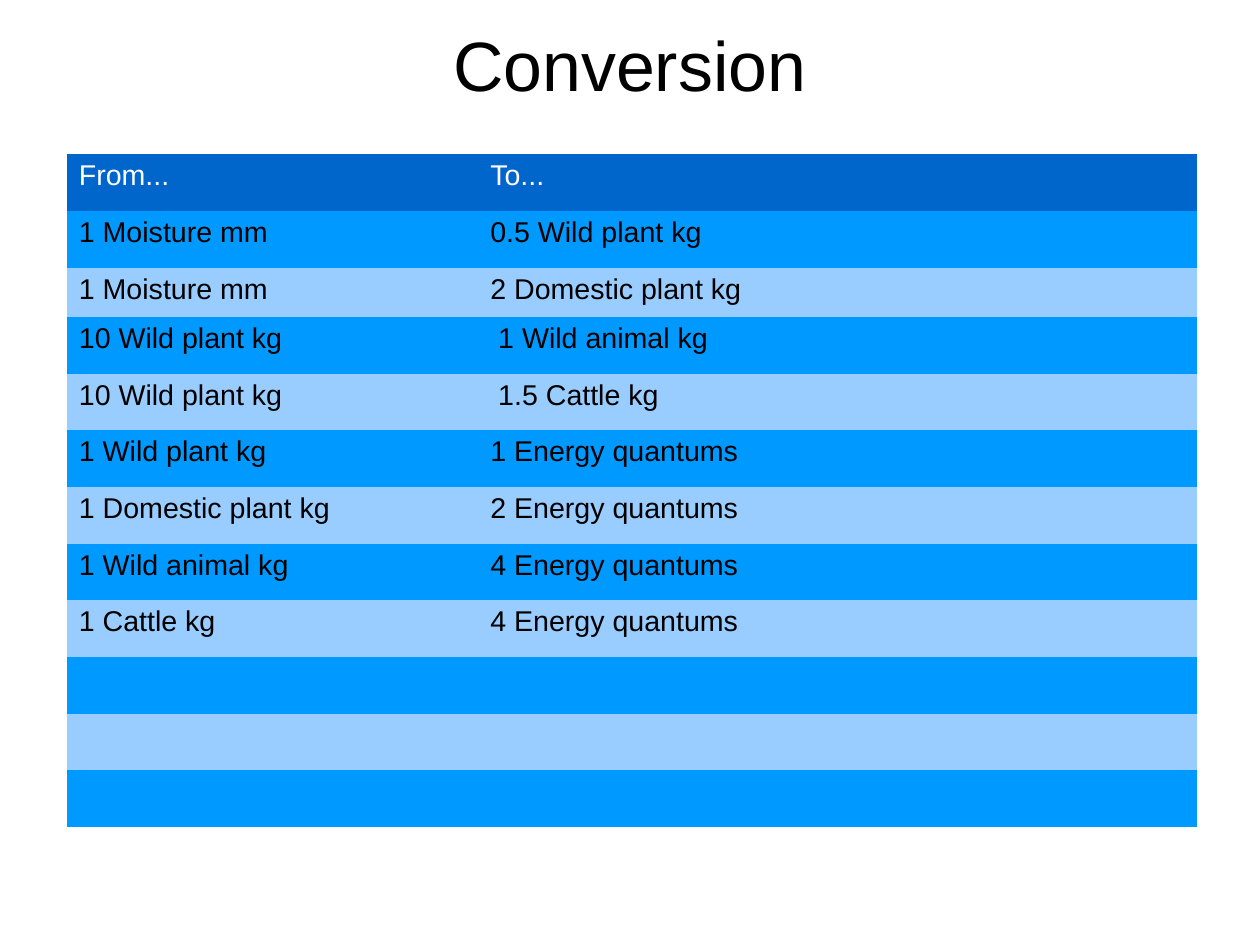
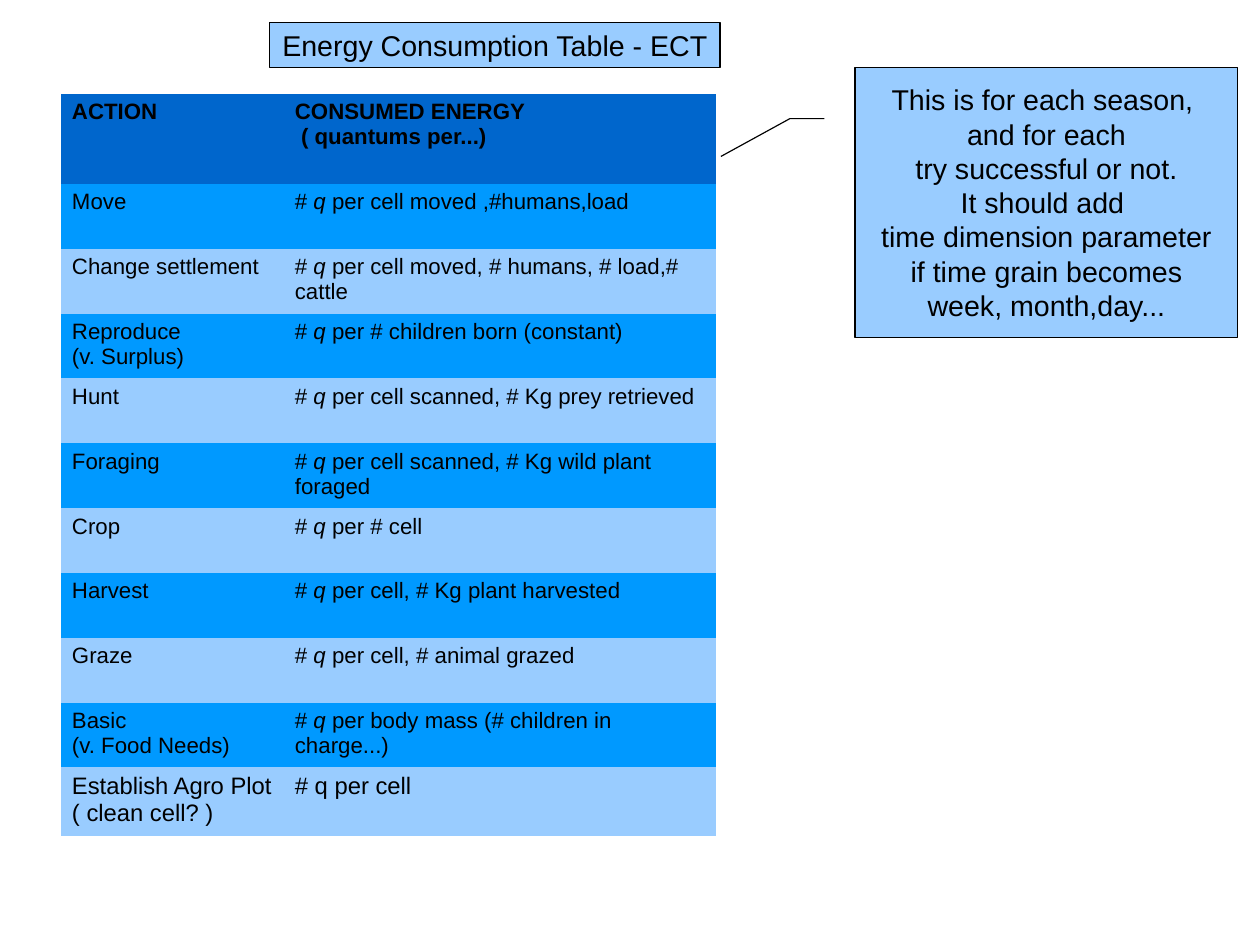
"""Build two slides on energy conversion and consumption tables."""
from dataclasses import dataclass, replace

from pptx import Presentation
from pptx import util as u
from pptx.dml.color import RGBColor
from pptx.enum import shapes, text
from pptx.oxml.ns import qn

CM_PER_INCH = 2.54
SLIDE_WIDTH = u.Inches(28 / CM_PER_INCH)
SLIDE_HEIGHT = u.Inches(21 / CM_PER_INCH)
BLACK = RGBColor(0x00, 0x00, 0x00)
WHITE = RGBColor(0xFF, 0xFF, 0xFF)
HEADER_BLUE = RGBColor(0x00, 0x66, 0xCC)
STRONG_BLUE = RGBColor(0x00, 0x99, 0xFF)
PALE_BLUE = RGBColor(0x99, 0xCC, 0xFF)
FONT = "Arial"
PLAIN_TABLE_STYLE = "{2D5ABB26-0587-4C30-8999-92F81FD0307C}"


@dataclass(frozen=True)
class Style:
    size: int
    color: RGBColor = BLACK
    bold: bool = False
    italic: bool = False


@dataclass(frozen=True)
class Span:
    text: str
    style: Style


@dataclass(frozen=True)
class Area:
    left: float
    top: float
    width: float
    height: float

    def lengths(self) -> tuple:
        return tuple(u.Inches(v) for v in (self.left, self.top, self.width, self.height))


@dataclass(frozen=True)
class Grid:
    left: float
    top: float
    height: float
    columns: list[float]
    row_count: int
    special_row: int
    special_height: float

    def row_heights(self) -> list[float]:
        equal = (self.height - self.special_height) / (self.row_count - 1)
        return [self.special_height if row == self.special_row else equal
                for row in range(self.row_count)]


Lines = list[list[Span]]

TITLE = Style(44)
BODY = Style(18)
HEADING = Style(18, WHITE)
ACTION = Style(14)
ACTION_HEADING = replace(ACTION, bold=True)
QUANTUM = replace(ACTION, italic=True)
PLOT = Style(15)

CONVERSION_GRID = Grid(0.59, 1.35, 5.89, [2.62, 0.98, 3.17, 1.1, 2.01], 12, 2, 0.43)
CONVERSIONS = [
    ("1 Moisture mm", "0.5 Wild plant kg"),
    ("1 Moisture mm", "2 Domestic plant kg"),
    ("10 Wild plant kg", " 1 Wild animal kg"),
    ("10 Wild plant kg", " 1.5 Cattle kg"),
    ("1 Wild plant kg", "1 Energy quantums"),
    ("1 Domestic plant kg", "2 Energy quantums"),
    ("1 Wild animal kg", "4 Energy quantums"),
    ("1 Cattle kg", "4 Energy quantums"),
]

ENERGY_GRID = Grid(0.53, 0.82, 6.46, [1.95, 3.78], 11, 0, 0.79)
ACTIONS = [
    (["Move"], " per cell moved ,#humans,load"),
    (["Change settlement"], " per cell moved, # humans, # load,# cattle"),
    (["Reproduce", "(v. Surplus)"], " per # children born (constant)"),
    (["Hunt"], " per cell scanned, # Kg prey retrieved"),
    (["Foraging"], " per cell scanned, # Kg wild plant foraged"),
    (["Crop"], " per # cell"),
    (["Harvest"], " per cell, # Kg plant harvested"),
    (["Graze"], " per cell, # animal grazed"),
    (["Basic", "(v. Food Needs)"], " per body mass (# children in charge...)"),
]
SEASON_NOTE = [
    "This is for each season, ",
    "and for each",
    "try successful or not.",
    "It should add ",
    "time dimension parameter",
    " if time grain becomes ",
    "week, month,day...",
]


def plain(style: Style, *lines: str) -> Lines:
    """Give each line one span of the same style."""
    return [[Span(line, style)] for line in lines]


def write(frame, lines: Lines, align=text.PP_ALIGN.LEFT) -> None:
    """Write the lines into a text frame, run by run."""
    for index, spans in enumerate(lines):
        para = frame.add_paragraph() if index else frame.paragraphs[0]
        para.alignment = align
        for span in spans:
            run = para.add_run()
            run.text = span.text
            font = run.font
            font.name = FONT
            font.size = u.Pt(span.style.size)
            font.bold = span.style.bold
            font.italic = span.style.italic
            font.color.rgb = span.style.color


def add_title(page, area: Area, title: str) -> None:
    """Add a centred slide title."""
    frame = page.shapes.add_textbox(*area.lengths()).text_frame
    frame.word_wrap = True
    frame.vertical_anchor = text.MSO_ANCHOR.MIDDLE
    frame.margin_left = frame.margin_right = u.Inches(0)
    frame.margin_top = frame.margin_bottom = u.Inches(0)
    write(frame, plain(TITLE, title), text.PP_ALIGN.CENTER)


def add_panel(page, kind, area: Area, lines: Lines, wrap: bool):
    """Add a pale blue outlined panel with centred text."""
    box = page.shapes.add_shape(kind, *area.lengths())
    box.shadow.inherit = False
    box.fill.solid()
    box.fill.fore_color.rgb = PALE_BLUE
    box.line.color.rgb = BLACK
    box.line.width = u.Pt(0)
    box.text_frame.word_wrap = wrap
    box.text_frame.vertical_anchor = text.MSO_ANCHOR.MIDDLE
    write(box.text_frame, lines, text.PP_ALIGN.CENTER)
    return box


def add_banded_table(page, grid: Grid, content: list[dict[int, Lines]]) -> None:
    """Add a table with a header band and two alternating row colours."""
    area = Area(grid.left, grid.top, sum(grid.columns), grid.height)
    holder = page.shapes.add_table(grid.row_count, len(grid.columns), *area.lengths())
    for style_id in holder.element.iter(qn("a:tableStyleId")):
        style_id.text = PLAIN_TABLE_STYLE
    table = holder.table
    table.first_row = table.horz_banding = False
    for column, width in zip(table.columns, grid.columns):
        column.width = u.Inches(width)
    for index, height in enumerate(grid.row_heights()):
        table.rows[index].height = u.Inches(height)
        band = STRONG_BLUE if index % 2 else PALE_BLUE
        for cell in table.rows[index].cells:
            cell.fill.solid()
            cell.fill.fore_color.rgb = band if index else HEADER_BLUE
    for row, cells in enumerate(content):
        for column, lines in cells.items():
            write(table.cell(row, column).text_frame, lines)


def build_conversion(page) -> None:
    """Build the conversion slide."""
    add_title(page, Area(0.55, 0.13, 9.92, 0.85), "Conversion")
    content = [{0: plain(HEADING, "From..."), 2: plain(HEADING, "To...")}]
    content += [{0: plain(BODY, source), 2: plain(BODY, target)}
                for source, target in CONVERSIONS]
    add_banded_table(page, CONVERSION_GRID, content)


def build_consumption(page) -> None:
    """Build the energy consumption slide."""
    content = [{0: plain(ACTION_HEADING, "ACTION"),
                1: plain(ACTION_HEADING, "CONSUMED ENERGY", " ( quantums per...)")}]
    content += [{0: plain(ACTION, *names),
                 1: [[Span("# ", ACTION), Span("q", QUANTUM), Span(cost, ACTION)]]}
                for names, cost in ACTIONS]
    content.append({0: plain(PLOT, "Establish Agro Plot ( clean cell? )"),
                    1: plain(PLOT, "# q per cell")})
    add_banded_table(page, ENERGY_GRID, content)
    callout = add_panel(page, shapes.MSO_SHAPE.LINE_CALLOUT_2, Area(7.48, 0.59, 3.35, 2.36),
                        plain(BODY, *SEASON_NOTE), wrap=False)
    for index, value in enumerate((0.19, -0.08, 0.19, -0.17, 0.33, -0.35)):
        callout.adjustments[index] = value
    add_panel(page, shapes.MSO_SHAPE.RECTANGLE, Area(2.36, 0.2, 3.94, 0.39),
              plain(BODY, "Energy Consumption Table - ECT"), wrap=True)


def main() -> None:
    """Build and save the deck."""
    deck = Presentation()
    deck.slide_width = SLIDE_WIDTH
    deck.slide_height = SLIDE_HEIGHT
    for build in (build_conversion, build_consumption):
        build(deck.slides.add_slide(deck.slide_layouts[6]))
    deck.save("out.pptx")


if __name__ == "__main__":
    main()
